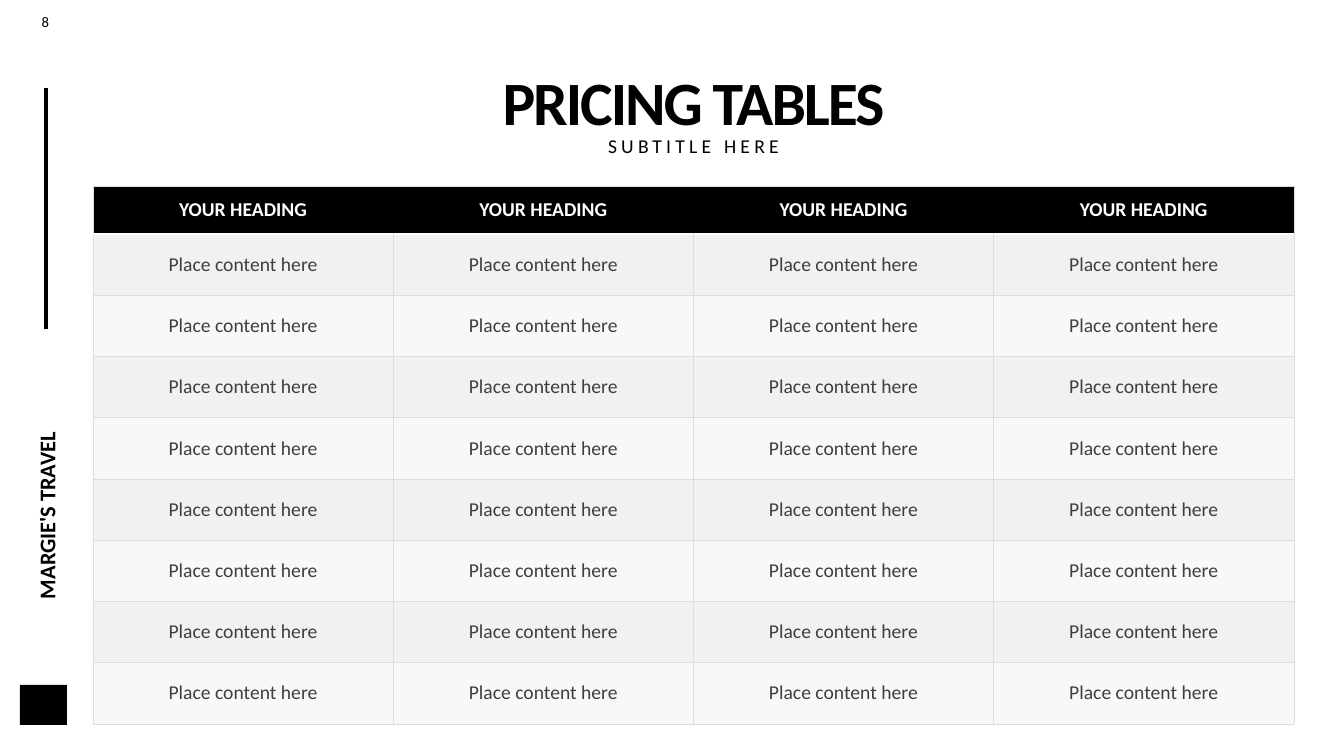
import pptx
import pptx.dml.color
import pptx.enum.shapes
import pptx.enum.text
import pptx.oxml.ns
import pptx.util
from lxml import etree

TITLE = "PRICING TABLES"
SUBTITLE = "SUBTITLE HERE"
COMPANY = "MARGIE'S TRAVEL"
PAGE_NUMBER = "8"
HEADINGS = ["YOUR HEADING"] * 4
CONTENT = [["Place content here"] * 4 for _ in range(8)]

FONT = "Calibri"
BLACK, WHITE, GREY, TEXT_GREY = "000000", "FFFFFF", "DDDDDD", "3F3F3F"
BAND_OPACITIES = (40, 20)

SLIDE_SIZE = (1344, 756)
TITLE_BOX = (93, -6, 1201, 150)
SUBTITLE_BOX = (93, 130, 1201, 35)
COMPANY_BOX = (-59, 480, 211, 31)
CORNER_BLOCK_BOX = (20, 685, 47, 40)
NUMBER_BOX = (17, 8, 57, 27)
RULE_X, RULE_TOP, RULE_BOTTOM = 46, 88, 329
TABLE_BOX = (93, 186, 1201, 538)
HEADER_HEIGHT = 48

MIDDLE = pptx.enum.text.MSO_ANCHOR.MIDDLE
LEFT = pptx.enum.text.PP_ALIGN.LEFT
CENTER = pptx.enum.text.PP_ALIGN.CENTER


def px(length):
    return pptx.util.Emu(round(length * 914400 / 100.8))


def rgb(color):
    return pptx.dml.color.RGBColor.from_string(color)


def add_element(parent, tag, **attributes):
    return etree.SubElement(parent, pptx.oxml.ns.qn(tag), attributes)


def write_text(frame, text, size, color=BLACK, bold=False, align=CENTER,
               line_spacing=None, space_before=None, tracking=None):
    paragraph = frame.paragraphs[0]
    paragraph.alignment = align
    if line_spacing is not None:
        paragraph.line_spacing = line_spacing
    if space_before is not None:
        paragraph.space_before = pptx.util.Pt(space_before)
    run = paragraph.add_run()
    run.text = text
    run.font.name = FONT
    run.font.size = pptx.util.Pt(size)
    run.font.bold = bold
    run.font.color.rgb = rgb(color)
    if tracking is not None:
        run.font._element.set("spc", str(round(tracking * 100)))


def add_label(slide, box, text, size, anchor=MIDDLE, inset=None, **text_format):
    label = slide.shapes.add_textbox(*map(px, box))
    frame = label.text_frame
    frame.word_wrap = True
    frame.vertical_anchor = anchor
    if inset is not None:
        frame.margin_left = frame.margin_right = px(inset)
        frame.margin_top = frame.margin_bottom = px(inset)
    write_text(frame, text, size, **text_format)
    return label


def add_title(slide):
    title = slide.shapes.title
    title.left, title.top, title.width, title.height = map(px, TITLE_BOX)
    title.text_frame.auto_size = pptx.enum.text.MSO_AUTO_SIZE.NONE
    title.text_frame.vertical_anchor = pptx.enum.text.MSO_ANCHOR.BOTTOM
    write_text(title.text_frame, TITLE, 44, bold=True, line_spacing=0.9, tracking=-1.5)


def add_side_rule(slide):
    rule = slide.shapes.add_connector(
        pptx.enum.shapes.MSO_CONNECTOR.STRAIGHT,
        px(RULE_X), px(RULE_BOTTOM), px(RULE_X), px(RULE_TOP))
    rule.line.color.rgb = rgb(BLACK)
    rule.line.width = pptx.util.Pt(3)
    add_element(rule._element.spPr, "a:effectLst")


def add_corner_block(slide):
    block = slide.shapes.add_shape(
        pptx.enum.shapes.MSO_SHAPE.RECTANGLE, *map(px, CORNER_BLOCK_BOX))
    block.shadow.inherit = False
    block.fill.solid()
    block.fill.fore_color.rgb = rgb(BLACK)
    block.line.fill.background()


def set_borders(cell, borders):
    """Draw (colour, points) per side, ordered left, right, top, bottom; None hides a side."""
    properties = cell._tc.get_or_add_tcPr()
    for side, border in zip("LRTB", borders):
        color, points = border or (None, 0)
        line = add_element(properties, f"a:ln{side}", w=str(pptx.util.Pt(points)))
        if border is None:
            add_element(line, "a:noFill")
        else:
            add_element(add_element(line, "a:solidFill"), "a:srgbClr", val=color)


def fill_cell(cell, color, opacity=100):
    cell.fill.solid()
    cell.fill.fore_color.rgb = rgb(color)
    if opacity < 100:
        fill = cell._tc.tcPr.find(pptx.oxml.ns.qn("a:solidFill"))
        add_element(fill[0], "a:alpha", val=str(opacity * 1000))


def add_pricing_table(slide):
    rows = [HEADINGS] + CONTENT
    column_count = len(HEADINGS)
    table = slide.shapes.add_table(len(rows), column_count, *map(px, TABLE_BOX)).table
    row_height = (TABLE_BOX[3] - HEADER_HEIGHT) / len(CONTENT)
    thin, header_edge = (GREY, 0.5), (WHITE, 1)

    for row_index, texts in enumerate(rows):
        is_header = row_index == 0
        table.rows[row_index].height = px(HEADER_HEIGHT if is_header else row_height)
        for column_index, text in enumerate(texts):
            cell = table.cell(row_index, column_index)
            cell.vertical_anchor = MIDDLE
            cell.margin_left = cell.margin_right = px(8 if is_header else 7)
            cell.margin_top = cell.margin_bottom = px(4)
            if is_header:
                set_borders(cell, (thin if column_index == 0 else None,
                                   thin if column_index == column_count - 1 else None,
                                   thin, header_edge))
                fill_cell(cell, BLACK)
            else:
                set_borders(cell, (thin, thin, header_edge if row_index == 1 else thin, thin))
                fill_cell(cell, GREY, BAND_OPACITIES[(row_index - 1) % 2])
            write_text(cell.text_frame, text, 14, bold=is_header,
                       color=WHITE if is_header else TEXT_GREY)


def main():
    presentation = pptx.Presentation()
    presentation.slide_width, presentation.slide_height = map(px, SLIDE_SIZE)
    slide = presentation.slides.add_slide(presentation.slide_layouts[5])

    company = add_label(slide, COMPANY_BOX, COMPANY, 16, inset=2, bold=True, align=LEFT)
    company.rotation = 270
    add_side_rule(slide)
    add_label(slide, NUMBER_BOX, PAGE_NUMBER, 10.5, anchor=pptx.enum.text.MSO_ANCHOR.TOP)
    add_corner_block(slide)
    add_title(slide)
    add_label(slide, SUBTITLE_BOX, SUBTITLE, 14, line_spacing=0.9, space_before=10, tracking=3)
    add_pricing_table(slide)
    presentation.save("out.pptx")


if __name__ == "__main__":
    main()
